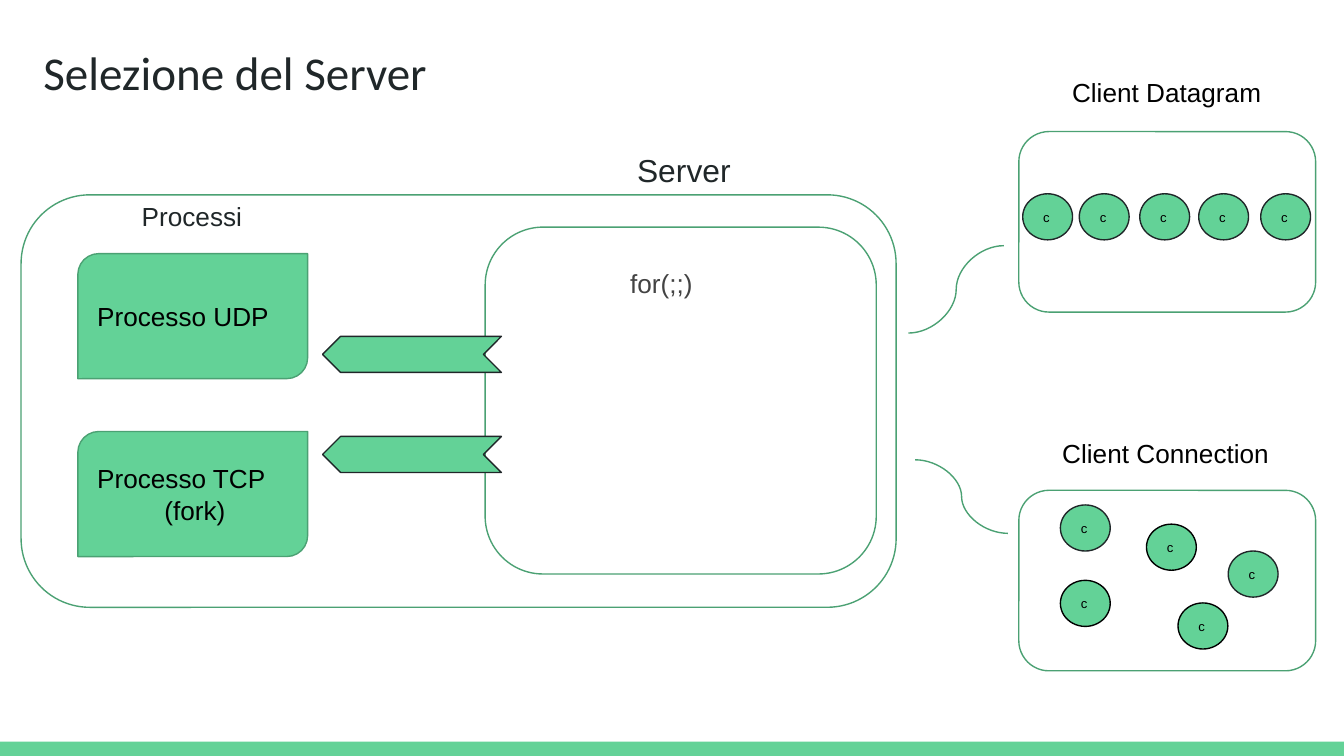
from pptx import Presentation
from pptx.dml.color import RGBColor
from pptx.enum.shapes import MSO_CONNECTOR, MSO_SHAPE
from pptx.enum.text import MSO_ANCHOR, MSO_AUTO_SIZE, PP_ALIGN
from pptx.oxml.ns import qn
from pptx.util import Pt
from lxml import etree

RECT, ROUNDED = MSO_SHAPE.RECTANGLE, MSO_SHAPE.ROUNDED_RECTANGLE
DIAGONAL, OVAL = MSO_SHAPE.ROUND_2_DIAG_RECTANGLE, MSO_SHAPE.OVAL
CHEVRON, CURVE = MSO_SHAPE.CHEVRON, MSO_CONNECTOR.CURVE
TOP, MIDDLE = MSO_ANCHOR.TOP, MSO_ANCHOR.MIDDLE
LEFT, CENTER, JUSTIFY = PP_ALIGN.LEFT, PP_ALIGN.CENTER, PP_ALIGN.JUSTIFY
FIT_TEXT = MSO_AUTO_SIZE.SHAPE_TO_FIT_TEXT

THEME = {
    "green": "63D297", "edge": "4BA173", "ink": "202729", "black": "000000", "gray": "434343",
    "title_font": "Calibri", "font": "Arial",
    "title": 25.2, "server": 17, "label": 14, "client": 7, "line": 0.75, "inset": 7.2,
}

TITLE = "Selezione del Server"
TITLE_BOX = (16, 16, 309, 45.4)
FOOTER_BAR = (0, 397.4, 720, 7.6)
SERVER = (11.3, 104.4, 468.8, 221)
LOOP = (259.9, 121.7, 209.5, 185.8)
CLIENT_PANELS = [(545.8, 70.5, 159, 96.7), (545.8, 262.7, 159, 96.7)]
LINKS = [((537.8, 131.6), (486.7, 178.4)), ((540, 285.8), (490.3, 246.4))]

PROCESSES = [["Processo UDP"], ["Processo TCP", "(fork)"]]
PROCESS_BOX, PROCESS_PITCH = (41.7, 135.9, 123.1, 67), 95.3
ARROW_BOX, ARROW_PITCH = (172.8, 180.2, 95.8, 19.3), 53.6
FORK_INDENT = 36

CLIENT_TEXT, CLIENT_SIZE = "c", (26.7, 24.7)
CLIENTS = [
    (578.2, 103.8, "ink"), (610.6, 103.8, "ink"), (642.2, 103.8, "ink"),
    (547.9, 103.8, "ink"), (675.4, 103.8, "ink"),
    (568.1, 270.5, "ink"), (631.1, 323, "black"), (614.2, 280.8, "black"),
    (568.1, 310.9, "black"), (658, 295.2, "ink"),
]

LABELS = [
    ("for(;;)", (330.5, 136, 67.7, 31.7), LEFT, "label", "gray"),
    ("Client Datagram", (567.2, 33.8, 120.4, 31.7), LEFT, "label", "black"),
    ("Client Connection", (562, 227, 131.2, 31.7), LEFT, "label", "black"),
    ("Server", (285.4, 73.4, 162, 35.3), CENTER, "server", "ink"),
    ("Processi", (46.7, 100, 112.3, 31.7), CENTER, "label", "ink"),
]


def color(name):
    return RGBColor.from_string(THEME[name])


def points(values):
    return [Pt(value) for value in values]


def write(shape, lines, size, ink, align, anchor, font="font"):
    frame = shape.text_frame
    frame.text = "\n".join(lines)
    frame.word_wrap = True
    frame.vertical_anchor = anchor
    frame.margin_left = frame.margin_right = Pt(THEME["inset"])
    frame.margin_top = frame.margin_bottom = Pt(THEME["inset"])
    for paragraph in frame.paragraphs:
        paragraph.alignment = align
        for run in paragraph.runs:
            run.font.name = THEME[font]
            run.font.size = Pt(THEME[size])
            run.font.color.rgb = color(ink)


def add_block(slide, kind, box, fill=None, edge=None):
    block = slide.shapes.add_shape(kind, *points(box))
    block.shadow.inherit = False
    if fill:
        block.fill.solid()
        block.fill.fore_color.rgb = color(fill)
    else:
        block.fill.background()
    if edge:
        block.line.color.rgb = color(edge)
        block.line.width = Pt(THEME["line"])
    else:
        block.line.fill.background()
    return block


def add_link(slide, start, end):
    link = slide.shapes.add_connector(CURVE, *points(start + end))
    link.line.color.rgb = color("edge")
    link.line.width = Pt(THEME["line"])
    etree.SubElement(link._element.spPr, qn("a:effectLst"))


def add_label(slide, text, box, align, size, ink):
    label = slide.shapes.add_textbox(*points(box))
    write(label, [text], size, ink, align, TOP)
    label.text_frame.auto_size = FIT_TEXT


def stacked(box, pitch, index):
    left, top, width, height = box
    return left, top + index * pitch, width, height


def main():
    deck = Presentation()
    deck.slide_width, deck.slide_height = Pt(720), Pt(405)
    slide = deck.slides.add_slide(deck.slide_layouts[5])

    add_block(slide, RECT, FOOTER_BAR, fill="green")
    title = slide.shapes.title
    title.left, title.top, title.width, title.height = points(TITLE_BOX)
    write(title, [TITLE], "title", "ink", LEFT, TOP, "title_font")

    for panel in (CLIENT_PANELS[0], LOOP, CLIENT_PANELS[1]):
        add_block(slide, ROUNDED, panel, edge="edge")
    for start, end in LINKS:
        add_link(slide, start, end)

    for index, lines in enumerate(PROCESSES):
        arrow = add_block(slide, CHEVRON, stacked(ARROW_BOX, ARROW_PITCH, index), "green", "ink")
        arrow.rotation = 180
        process = add_block(slide, DIAGONAL, stacked(PROCESS_BOX, PROCESS_PITCH, index), "green", "edge")
        write(process, lines, "label", "black", JUSTIFY, MIDDLE)
        for paragraph in process.text_frame.paragraphs[1:]:
            paragraph._p.get_or_add_pPr().set("indent", str(Pt(FORK_INDENT)))

    for left, top, edge in CLIENTS:
        client = add_block(slide, OVAL, (left, top) + CLIENT_SIZE, "green", edge)
        write(client, [CLIENT_TEXT], "client", "black", LEFT, MIDDLE)

    for label in LABELS:
        add_label(slide, *label)
    add_block(slide, ROUNDED, SERVER, edge="edge")

    deck.save("out.pptx")


if __name__ == "__main__":
    main()
